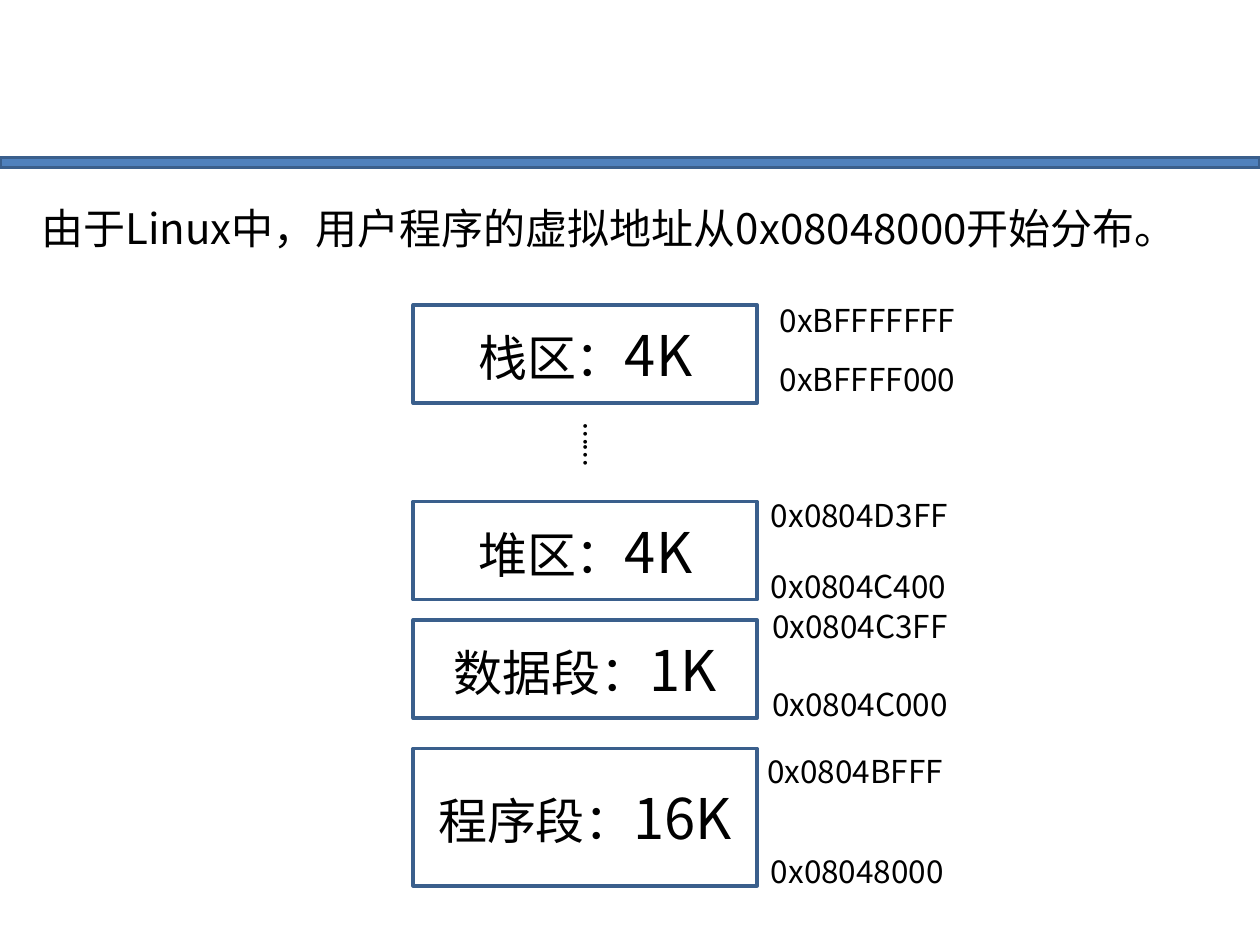
from lxml import etree
from pptx import Presentation
from pptx import util as u
from pptx.dml.color import RGBColor
from pptx.enum import shapes, text
from pptx.oxml.ns import qn

FONT = "Noto Sans CJK SC"
BLACK, WHITE, BLUE, EDGE = "000000", "FFFFFF", "4F81BD", "3A5F8C"
LEFT, WIDTH = 3.28, 2.73

# name, size, top, height, then (address, left, top) of each end
AREAS = [
    ("栈区：", "4K", 2.42, 0.78,
     [("0xBFFFFFFF", 6.09, 2.34), ("0xBFFFF000", 6.09, 2.81)]),
    ("堆区：", "4K", 3.98, 0.78,
     [("0x0804D3FF", 6.02, 3.89), ("0x0804C400", 6.02, 4.45)]),
    ("数据段：", "1K", 4.92, 0.78,
     [("0x0804C3FF", 6.03, 4.77), ("0x0804C000", 6.03, 5.39)]),
    ("程序段：", "16K", 5.94, 1.09,
     [("0x0804BFFF", 5.99, 5.92), ("0x08048000", 6.02, 6.71)]),
]


def color(code):
    return RGBColor.from_string(code)


def place(x, y, w, h):
    return [u.Inches(v) for v in (x, y, w, h)]


class Page:
    """Holds the text style and the slide being filled."""

    def __init__(self, slide, font=FONT):
        self.slide = slide
        self.font = font

    def run(self, para, words, size, font=None):
        run = para.add_run()
        run.text = words
        run.font.size = u.Pt(size)
        run.font.name = font or self.font
        run.font.color.rgb = color(BLACK)
        east = etree.SubElement(run.font._element, qn("a:ea"))
        east.set("typeface", font or self.font)

    def body(self, words, box):
        self.slide.shapes.title.element.getparent().remove(
            self.slide.shapes.title.element)
        hold = self.slide.placeholders[1]
        hold.left, hold.top, hold.width, hold.height = place(*box)
        hold.text_frame.auto_size = text.MSO_AUTO_SIZE.NONE
        para = hold.text_frame.paragraphs[0]
        props = para._p.get_or_add_pPr()
        etree.SubElement(props, qn("a:buNone"))
        props.set("marL", str(u.Inches(0.38)))
        props.set("indent", str(u.Inches(-0.38)))
        para.space_before = u.Pt(0)
        self.run(para, words, 24)

    def rect(self, box, fill):
        shape = self.slide.shapes.add_shape(
            shapes.MSO_SHAPE.RECTANGLE, *place(*box))
        shape.shadow.inherit = False
        shape.fill.solid()
        shape.fill.fore_color.rgb = color(fill)
        shape.line.color.rgb = color(EDGE)
        shape.line.width = u.Pt(2)
        return shape

    def area(self, name, size, top, height):
        frame = self.rect((LEFT, top, WIDTH, height), WHITE).text_frame
        frame.vertical_anchor = text.MSO_ANCHOR.MIDDLE
        para = frame.paragraphs[0]
        para.alignment = text.PP_ALIGN.CENTER
        self.run(para, name, 28)
        self.run(para, size, 32)

    def label(self, words, x, y, width=1.8, font=None, turn=0):
        box = self.slide.shapes.add_textbox(*place(x, y, width, 0.4))
        box.rotation = turn
        frame = box.text_frame
        frame.word_wrap = False
        frame.auto_size = text.MSO_AUTO_SIZE.SHAPE_TO_FIT_TEXT
        self.run(frame.paragraphs[0], words, 18, font)


def main():
    deck = Presentation()
    deck.slide_width, deck.slide_height = u.Inches(10), u.Inches(7.5)
    page = Page(deck.slides.add_slide(deck.slide_layouts[1]))
    page.rect((0, 1.25, 10, 0.08), BLUE)
    page.body("由于Linux中，用户程序的虚拟地址从0x08048000开始分布。",
              (0.23, 1.56, 9.53, 0.7))
    for name, size, top, height, ends in AREAS:
        page.area(name, size, top, height)
        for end in ends:
            page.label(*end)
    page.label("……", 4.45, 3.34, 0.56, "Calibri", 90)
    deck.save("out.pptx")


if __name__ == "__main__":
    main()
